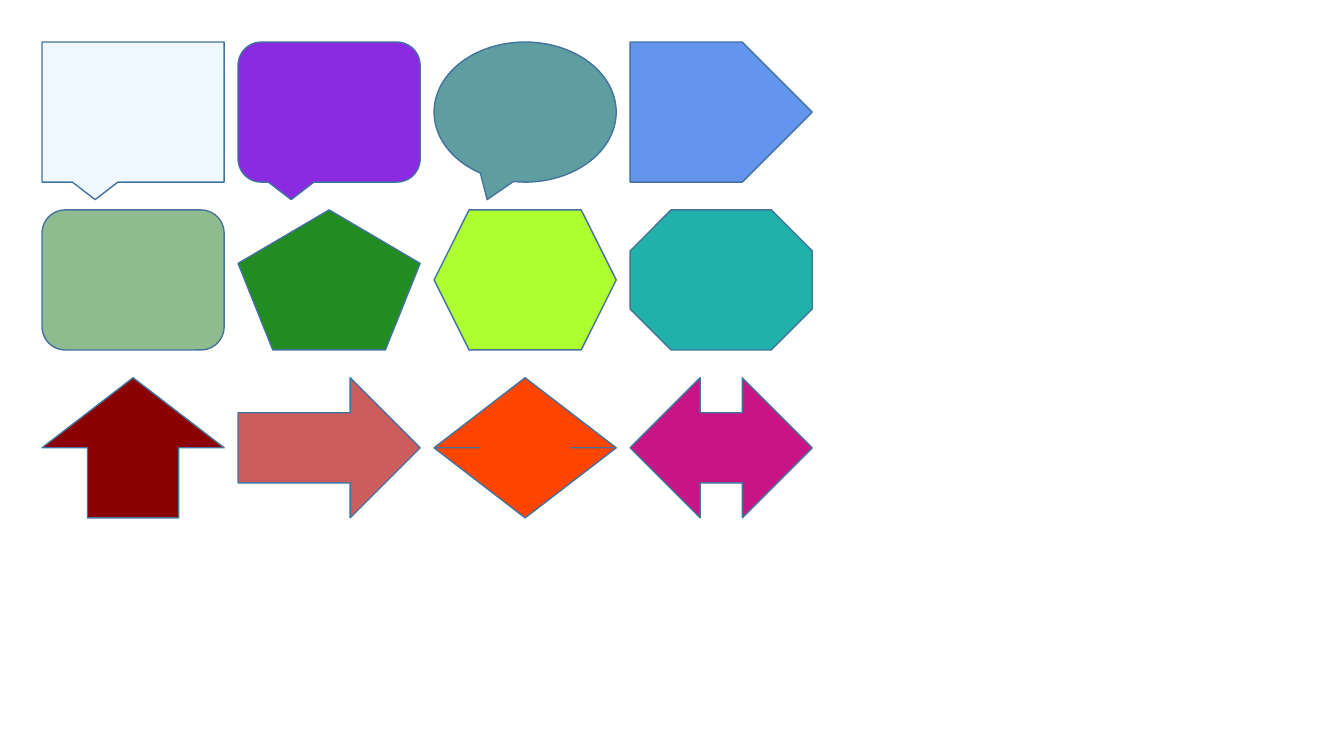
import pptx
import pptx.dml.color
import pptx.enum.shapes
import pptx.util

Cm = pptx.util.Cm
RGB = pptx.dml.color.RGBColor
KIND = pptx.enum.shapes.MSO_SHAPE

EDGE = RGB(0x43, 0x73, 0x9E)
ALICE = RGB(0xF0, 0xF8, 0xFF)
VIOLET = RGB(0x8A, 0x2B, 0xE2)
CADET = RGB(0x5F, 0x9E, 0xA0)
CORN = RGB(0x64, 0x95, 0xED)
SAGE = RGB(0x8F, 0xBC, 0x8F)
FOREST = RGB(0x22, 0x8B, 0x22)
LIME = RGB(0xAD, 0xFF, 0x2F)
TEAL = RGB(0x20, 0xB2, 0xAA)
MAROON = RGB(0x8B, 0x00, 0x00)
CORAL = RGB(0xCD, 0x5C, 0x5C)
ORANGE = RGB(0xFF, 0x45, 0x00)
PINK = RGB(0xC7, 0x15, 0x85)

# Grid in centimetres
START = 1.06
WIDTH, HEIGHT = 4.59, 3.53
STEP_X, STEP_Y = 4.94, 4.23

ROWS = [
    [(KIND.RECTANGULAR_CALLOUT, ALICE),
     (KIND.ROUNDED_RECTANGULAR_CALLOUT, VIOLET),
     (KIND.OVAL_CALLOUT, CADET),
     (KIND.PENTAGON, CORN)],
    [(KIND.ROUNDED_RECTANGLE, SAGE),
     (KIND.REGULAR_PENTAGON, FOREST),
     (KIND.HEXAGON, LIME),
     (KIND.OCTAGON, TEAL)],
    [(KIND.UP_ARROW, MAROON),
     (KIND.RIGHT_ARROW, CORAL),
     (KIND.UP_DOWN_ARROW, ORANGE),
     (KIND.LEFT_RIGHT_ARROW, PINK)],
]


class Board:
    """Holds the outline style and the slide being drawn."""

    def __init__(self, slide, edge=EDGE, weight=1):
        self.slide = slide
        self.edge = edge
        self.weight = pptx.util.Pt(weight)

    def shape(self, kind, left, top, fill):
        item = self.slide.shapes.add_shape(
            kind, Cm(left), Cm(top), Cm(WIDTH), Cm(HEIGHT))
        item.shadow.inherit = False
        item.fill.solid()
        item.fill.fore_color.rgb = fill
        item.line.color.rgb = self.edge
        item.line.width = self.weight

    def grid(self, rows):
        for row, cells in enumerate(rows):
            for col, (kind, fill) in enumerate(cells):
                self.shape(kind, START + col * STEP_X,
                           START + row * STEP_Y, fill)


def main():
    deck = pptx.Presentation()
    deck.slide_width = Cm(33.87)
    deck.slide_height = Cm(19.05)
    blank = deck.slide_layouts[6]
    Board(deck.slides.add_slide(blank)).grid(ROWS)
    deck.save("out.pptx")


if __name__ == "__main__":
    main()
